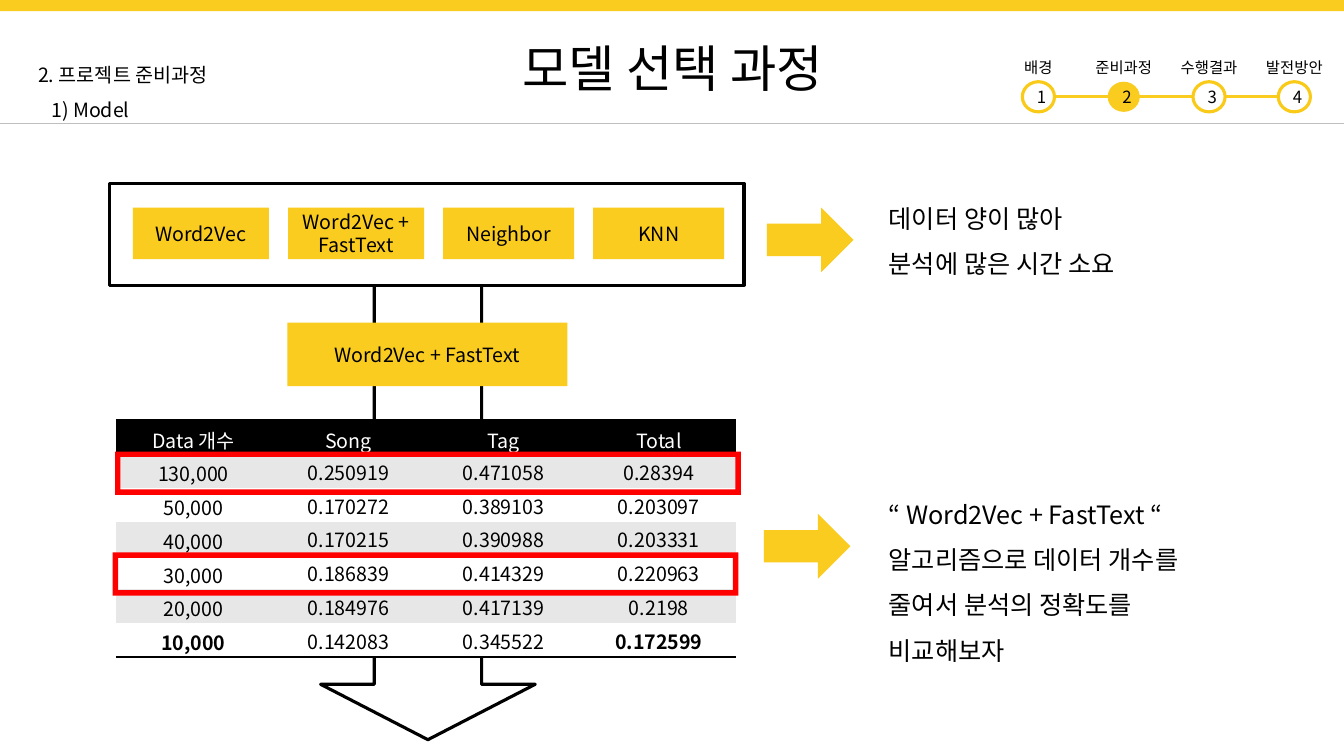
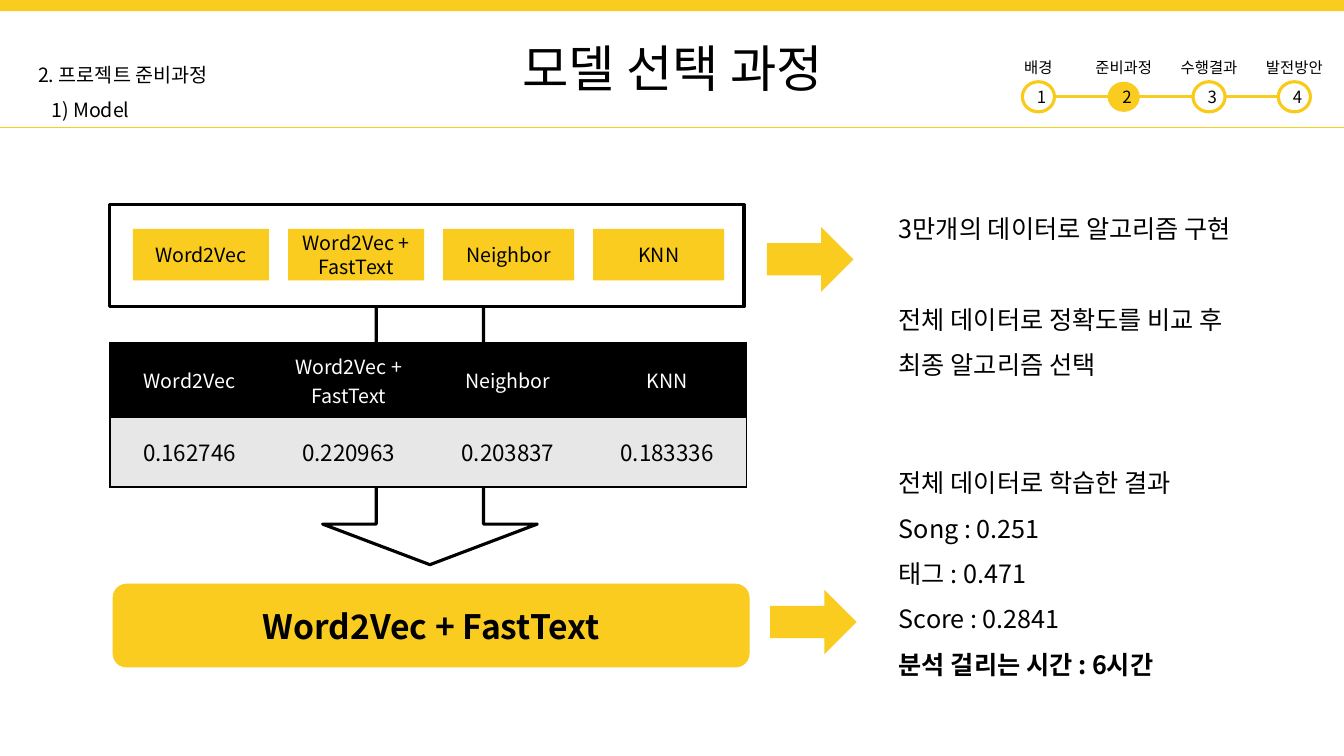
import pptx
import pptx.util
import pptx.dml.color
import pptx.enum.shapes
import pptx.enum.text
import pptx.oxml.ns
from lxml import etree

Cm, Pt = pptx.util.Cm, pptx.util.Pt
SHAPE = pptx.enum.shapes.MSO_SHAPE
ALIGN = pptx.enum.text.PP_ALIGN
ANCHOR = pptx.enum.text.MSO_ANCHOR
qn = pptx.oxml.ns.qn

COLORS = {"gold": "F9CC1F", "ring": "F9CA17", "black": "000000", "white": "FFFFFF",
          "red": "FF0000", "band": "E7E7E7", "rule": "BFBFBF"}
FONT = "Noto Sans CJK KR"
NO_GRID_STYLE = "{2D5ABB26-0587-4C30-8999-92F81FD0307C}"
SLIDE_WIDTH, SLIDE_HEIGHT = 33.87, 19.05
MODELS = ["Word2Vec", "Word2Vec + FastText", "Neighbor", "KNN"]


def rgb(name):
    return pptx.dml.color.RGBColor.from_string(COLORS[name])


class Deck:
    """Shared style and the slide being built; all lengths are in cm."""

    def __init__(self):
        self.presentation = pptx.Presentation()
        self.presentation.slide_width = Cm(SLIDE_WIDTH)
        self.presentation.slide_height = Cm(SLIDE_HEIGHT)
        self.slide = None

    def fill_text(self, frame, lines, size, color="black", bold=False,
                  align=ALIGN.CENTER, **paragraph_format):
        """Add each line as a paragraph; a (line, changes) pair overrides formats."""
        for index, line in enumerate(lines):
            text, changes = line if isinstance(line, tuple) else (line, {})
            paragraph = frame.paragraphs[0] if index == 0 else frame.add_paragraph()
            if "indent" in changes:
                paragraph._p.get_or_add_pPr().set("marL", str(Cm(changes["indent"])))
            formats = {"alignment": align, **paragraph_format}
            if "space_before" in changes:
                formats["space_before"] = changes["space_before"]
            for name, value in formats.items():
                setattr(paragraph, name, value)
            run = paragraph.add_run()
            run.text = text
            font_format = {"name": FONT, "size": Pt(size), "bold": changes.get("bold", bold)}
            for name, value in font_format.items():
                setattr(run.font, name, value)
            run.font.color.rgb = rgb(color)
            east_asian = etree.SubElement(run._r.get_or_add_rPr(), qn("a:ea"))
            east_asian.set("typeface", FONT)

    def shape(self, kind, left, top, width, height, fill=None, line=None,
              text=None, size=14, bold=False):
        shape = self.slide.shapes.add_shape(kind, Cm(left), Cm(top), Cm(width), Cm(height))
        shape.shadow.inherit = False
        if fill:
            shape.fill.solid()
            shape.fill.fore_color.rgb = rgb(fill)
        else:
            shape.fill.background()
        if line:
            shape.line.color.rgb = rgb(line)
            shape.line.width = Pt(2.25)
        else:
            shape.line.fill.background()
        if text:
            shape.text_frame.vertical_anchor = ANCHOR.MIDDLE
            self.fill_text(shape.text_frame, [text], size, bold=bold)
        return shape

    def text(self, left, top, width, height, lines, size, **formats):
        box = self.slide.shapes.add_textbox(Cm(left), Cm(top), Cm(width), Cm(height))
        box.text_frame.word_wrap = True
        box.text_frame.auto_size = pptx.enum.text.MSO_AUTO_SIZE.SHAPE_TO_FIT_TEXT
        self.fill_text(box.text_frame, lines, size, **formats)

    def line(self, left, right, y, color, weight):
        connector = self.slide.shapes.add_connector(
            pptx.enum.shapes.MSO_CONNECTOR.STRAIGHT, Cm(left), Cm(y), Cm(right), Cm(y))
        connector.line.color.rgb = rgb(color)
        connector.line.width = Pt(weight)
        etree.SubElement(connector._element.spPr, qn("a:effectLst"))

    def border(self, cell, sides, weight):
        properties = cell._tc.get_or_add_tcPr()
        for side in sides:
            edge = etree.SubElement(properties, qn("a:ln" + side), w=str(Pt(weight)))
            fill = etree.SubElement(edge, qn("a:solidFill"))
            etree.SubElement(fill, qn("a:srgbClr"), val=COLORS["black"])

    def table(self, left, top, width, row_heights, rows, body_size, weight,
              outlined=False, margins=None, bold_cells=()):
        """Black header row over grey and white bands; margins(row, column) -> (top, bottom)."""
        last_row, last_column = len(rows) - 1, len(rows[0]) - 1
        graphic = self.slide.shapes.add_table(len(rows), len(rows[0]), Cm(left), Cm(top),
                                              Cm(width), Cm(sum(row_heights)))
        table = graphic.table
        table._tbl.tblPr.find(qn("a:tableStyleId")).text = NO_GRID_STYLE
        for row, values in enumerate(rows):
            table.rows[row].height = Cm(row_heights[row])
            for column, value in enumerate(values):
                cell = table.cell(row, column)
                sides = [side for side, wanted in (
                    ("L", outlined and column == 0),
                    ("R", outlined and column == last_column),
                    ("T", row == 0),
                    ("B", row in (0, last_row))) if wanted]
                self.border(cell, sides, weight)
                cell.fill.solid()
                cell.fill.fore_color.rgb = rgb(
                    "black" if row == 0 else "band" if row % 2 else "white")
                cell.vertical_anchor = ANCHOR.MIDDLE
                if margins:
                    above, below = margins(row, column)
                    cell.margin_top, cell.margin_bottom = Cm(above), Cm(below)
                self.fill_text(cell.text_frame, value.split("\n"),
                               body_size if row else 14, "black" if row else "white",
                               bold=(row, column) in bold_cells)

    def progress(self, steps, current):
        first_center, step, center_y = 26.17, 2.15, 2.44
        width, height, label_width = 0.81, 0.76, 2.2
        last_center = first_center + step * (len(steps) - 1)
        self.line(first_center, last_center, center_y, "gold", 2.25)
        for index, label in enumerate(steps):
            center = first_center + step * index
            active = index == current
            self.text(center - label_width / 2, 1.35, label_width, 0.74, [label], 11)
            self.shape(SHAPE.OVAL, center - width / 2, center_y - height / 2, width, height,
                       "gold" if active else "white", None if active else "ring",
                       str(index + 1), 12)

    def new_slide(self, rule_y, rule_color):
        """Start a slide with the band, rule, headings and progress steps."""
        self.slide = self.presentation.slides.add_slide(self.presentation.slide_layouts[6])
        self.shape(SHAPE.RECTANGLE, 0, 0, SLIDE_WIDTH, 0.28, "gold")
        self.line(0, SLIDE_WIDTH, rule_y, rule_color, 0.5)
        self.text(9.83, 0.81, 14.25, 1.8, ["모델 선택 과정"], 36)
        self.text(0.71, 1.17, 5.23, 1.93, ["2. 프로젝트 준비과정", ("1) Model", {"indent": 0.33})],
                  14, align=ALIGN.LEFT, line_spacing=1.5)
        self.progress(["배경", "준비과정", "수행결과", "발전방안"], 1)

    def flow_arrow(self, left, top, height, head):
        arrow = self.shape(SHAPE.DOWN_ARROW, left, top, 5.41, height, line="black")
        arrow.adjustments[0], arrow.adjustments[1] = 0.5, head

    def side_arrow(self, left, top):
        self.shape(SHAPE.RIGHT_ARROW, left, top, 2.18, 1.63, "gold")

    def models(self, top):
        """Framed row of model names."""
        self.shape(SHAPE.RECTANGLE, 2.77, top, 15.98, 2.57, "white", "black")
        left = 3.35
        for name, width in zip(MODELS, (3.43, 3.43, 3.3, 3.3)):
            self.shape(SHAPE.RECTANGLE, left, top + 0.61, width, 1.3, "gold", text=name)
            left += width + 0.48

    def remark(self, left, top, height, lines):
        self.text(left, top, 9.22, height, lines, 18, align=ALIGN.LEFT, line_spacing=1.5)


def data_size_slide(deck):
    deck.new_slide(3.1, "rule")

    # Flow from all models to one
    deck.flow_arrow(8.08, 6.73, 11.91, 0.258)
    deck.models(4.62)
    deck.shape(SHAPE.RECTANGLE, 7.24, 8.13, 7.06, 1.6, "gold", text=MODELS[1])

    # Scores by data size
    rows = [
        ["Data 개수", "Song", "Tag", "Total"],
        ["130,000", "0.250919", "0.471058", "0.28394"],
        ["50,000", "0.170272", "0.389103", "0.203097"],
        ["40,000", "0.170215", "0.390988", "0.203331"],
        ["30,000", "0.186839", "0.414329", "0.220963"],
        ["20,000", "0.184976", "0.417139", "0.2198"],
        ["10,000", "0.142083", "0.345522", "0.172599"],
    ]
    deck.table(2.92, 10.6, 15.64, [0.85] * len(rows), rows, 14, 2,
               margins=lambda row, column: (0.1, 0) if row == 0 or column == 0 else (0.03, 0),
               bold_cells={(6, 0), (6, 3)})
    for left, top in ((2.9, 11.38), (2.84, 13.92)):
        deck.shape(SHAPE.FRAME, left, top, 15.77, 1.09, "red")

    # Remarks
    deck.side_arrow(19.33, 5.23)
    deck.remark(22.15, 4.62, 2.46, ["데이터 양이 많아", "분석에 많은 시간 소요"])
    deck.side_arrow(19.25, 12.95)
    deck.remark(22.15, 12.07, 3.71, ["“ Word2Vec + FastText “",
                                     "알고리즘으로 데이터 개수를 줄여서 분석의 정확도를 비교해보자"])


def final_model_slide(deck):
    deck.new_slide(3.2, "gold")

    # Flow from all models to the chosen one
    deck.flow_arrow(8.13, 7.65, 6.58, 0.189)
    deck.models(5.16)
    deck.table(2.77, 8.64, 16.05, [1.88, 1.75],
               [["Word2Vec", "Word2Vec +\nFastText", "Neighbor", "KNN"],
                ["0.162746", "0.220963", "0.203837", "0.183336"]],
               16, 1, outlined=True)
    deck.shape(SHAPE.ROUNDED_RECTANGLE, 2.84, 14.71, 16.05, 2.11, "gold",
               text=MODELS[1], size=24, bold=True)

    # Remarks
    deck.side_arrow(19.33, 5.72)
    deck.remark(22.4, 4.88, 4.75, ["3만개의 데이터로 알고리즘 구현",
                                   ("전체 데이터로 정확도를 비교 후", {"space_before": Pt(32.4)}),
                                   "최종 알고리즘 선택"])
    deck.side_arrow(19.41, 14.86)
    deck.remark(22.4, 11.28, 6.02, ["전체 데이터로 학습한 결과", "Song : 0.251", "태그 : 0.471",
                                    "Score : 0.2841", ("분석 걸리는 시간 : 6시간", {"bold": True})])


def main():
    deck = Deck()
    data_size_slide(deck)
    final_model_slide(deck)
    deck.presentation.save("out.pptx")


if __name__ == "__main__":
    main()
